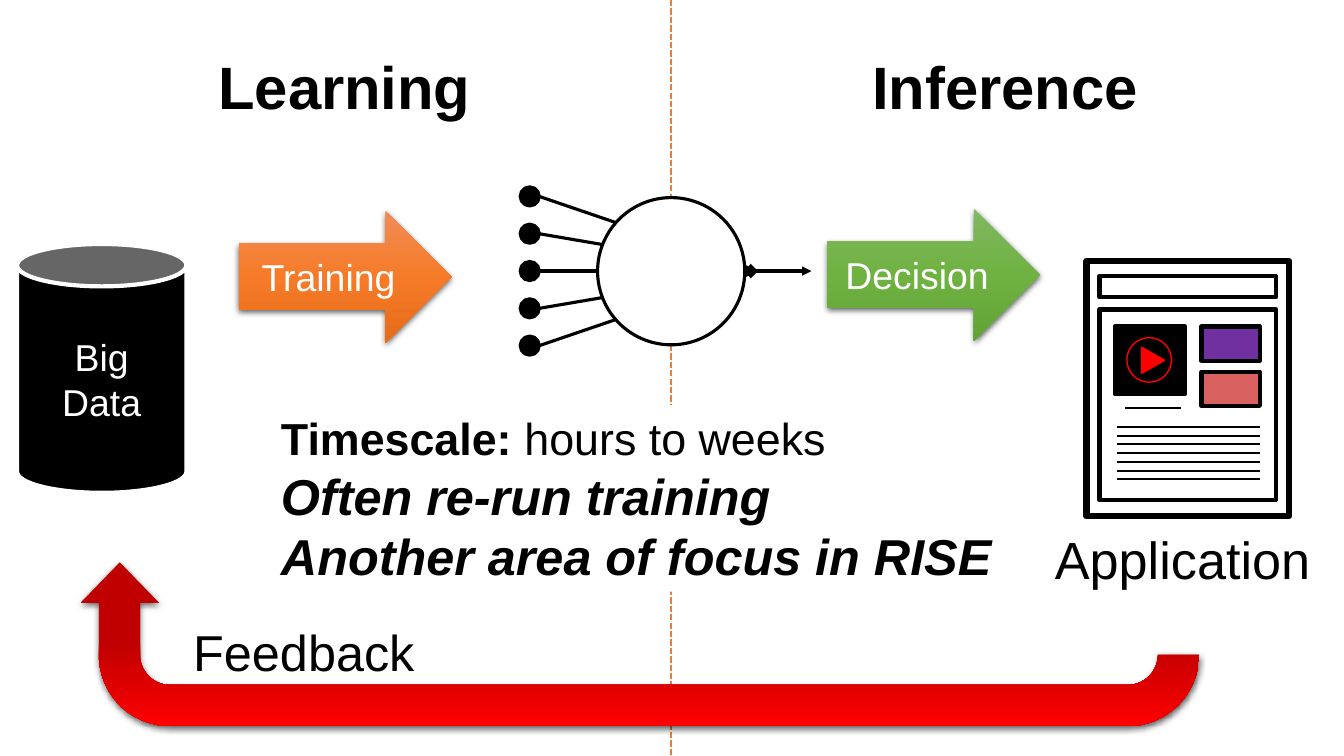
import math

import lxml.etree
import pptx
import pptx.dml.color
import pptx.enum.dml
import pptx.enum.shapes
import pptx.enum.text
import pptx.oxml.ns
import pptx.util

COLORS = {
    "black": "000000", "white": "FFFFFF", "red": "FF0000", "orange": "ED7D31",
    "purple": "7030A0", "coral": "D9615F",
}
BLENDS = {
    "train": ("F18C57", "F67B28", "E56C19"),
    "decide": ("81B861", "6FB242", "62A336"),
    "return": ("C00000", "C00000", "FF0000"),
}
SHAPE = pptx.enum.shapes.MSO_SHAPE
ALIGN = pptx.enum.text.PP_ALIGN
ANCHOR = pptx.enum.text.MSO_ANCHOR
FIT = pptx.enum.text.MSO_AUTO_SIZE
cm = pptx.util.Cm


def rgb(name):
    return pptx.dml.color.RGBColor.from_string(COLORS[name])


def add_tag(parent, tag, **attrs):
    return lxml.etree.SubElement(parent, pptx.oxml.ns.qn(tag), attrs)


def arc(x, y, radius, start, end, steps=16):
    """Points on a circle, angles in degrees clockwise from the right."""
    turns = [math.radians(start + (end - start) * i / steps) for i in range(steps + 1)]
    return [(x + radius * math.cos(t), y + radius * math.sin(t)) for t in turns]


class Canvas:
    def __init__(self, slide, font="Arial"):
        self.slide = slide
        self.font = font
        self.shapes = slide.shapes

    def group(self):
        """Send the next parts to a new group."""
        self.shapes = self.slide.shapes.add_group_shape().shapes

    def ungroup(self):
        self.shapes = self.slide.shapes

    def shape(self, kind, x, y, w, h, fill=None, line=None, width=1):
        item = self.shapes.add_shape(kind, cm(x), cm(y), cm(w), cm(h))
        item.shadow.inherit = False
        if fill:
            item.fill.solid()
            item.fill.fore_color.rgb = rgb(fill)
        else:
            item.fill.background()
        if line:
            item.line.color.rgb = rgb(line)
            item.line.width = pptx.util.Pt(width)
        else:
            item.line.fill.background()
        return item

    def line(self, x1, y1, x2, y2, width=1.5, color="black", arrow=False, dash=None):
        item = self.shapes.add_connector(
            pptx.enum.shapes.MSO_CONNECTOR.STRAIGHT, cm(x1), cm(y1), cm(x2), cm(y2))
        item.line.color.rgb = rgb(color)
        item.line.width = pptx.util.Pt(width)
        if dash:
            item.line.dash_style = dash
        if arrow:
            add_tag(item.get_or_add_ln(), "a:tailEnd", type="triangle")
        add_tag(item._element.spPr, "a:effectLst")
        return item

    def outline(self, points):
        spots = [(cm(x), cm(y)) for x, y in points]
        maker = self.shapes.build_freeform(*spots[0])
        maker.add_line_segments(spots[1:], close=True)
        return maker.convert_to_shape()

    def blend(self, item, name):
        """Give a shape a downward gradient and a soft shadow."""
        item.fill.gradient()
        item.fill.gradient_angle = 270
        stops = item._element.spPr.find(".//" + pptx.oxml.ns.qn("a:gsLst"))
        stops.clear()
        for place, color in zip((0, 50000, 100000), BLENDS[name]):
            add_tag(add_tag(stops, "a:gs", pos=str(place)), "a:srgbClr", val=color)
        item.line.fill.background()
        item.shadow.inherit = False
        effects = item._element.spPr.find(pptx.oxml.ns.qn("a:effectLst"))
        shade = add_tag(effects, "a:outerShdw", blurRad="57150", dist="19050",
                        dir="5400000", algn="ctr", rotWithShape="0")
        add_tag(add_tag(shade, "a:srgbClr", val="000000"), "a:alpha", val="63000")

    def style(self, para, size, color="black", bold=None, slant=None, align=ALIGN.CENTER):
        para.alignment = align
        para.font.name = self.font
        para.font.size = pptx.util.Pt(size)
        para.font.color.rgb = rgb(color)
        para.font.bold = bold
        para.font.italic = slant

    def words(self, item, lines, size, color="white"):
        frame = item.text_frame
        frame.vertical_anchor = ANCHOR.MIDDLE
        frame.text = "\n".join(lines)
        for para in frame.paragraphs:
            self.style(para, size, color)

    def label(self, text, x, y, w, h, size, bold=None, align=ALIGN.CENTER):
        frame = self.shapes.add_textbox(cm(x), cm(y), cm(w), cm(h)).text_frame
        frame.word_wrap = False
        frame.auto_size = FIT.SHAPE_TO_FIT_TEXT
        frame.text = text
        self.style(frame.paragraphs[0], size, bold=bold, align=align)

    def arrow(self, text, x, y, name):
        item = self.shape(SHAPE.RIGHT_ARROW, x, y, 5.36, 3.33)
        self.blend(item, name)
        self.words(item, [text], 26.7)


def main():
    deck = pptx.Presentation()
    deck.slide_width, deck.slide_height = cm(33.87), cm(19.05)
    art = Canvas(deck.slides.add_slide(deck.slide_layouts[6]))

    # Divider, data store and training
    art.line(16.91, 0, 16.91, 19.05, color="orange",
             dash=pptx.enum.dml.MSO_LINE.SQUARE_DOT)
    store = art.shape(SHAPE.CAN, 0.43, 6.15, 4.27, 6.27, "black", "white", 3)
    art.words(store, ["Big", "Data"], 26.7)
    art.arrow("Training", 6.02, 5.31, "train")

    # Application window
    art.group()
    art.shape(SHAPE.RECTANGLE, 27.38, 6.58, 5.11, 6.43, "white", "black", 4.5)
    for top, height in ((6.96, 0.53), (7.8, 4.8)):
        art.shape(SHAPE.RECTANGLE, 27.71, top, 4.45, height, "white", "black", 3)
    for row in range(7):
        y = 10.76 + 0.22 * row
        art.line(28.14, y, 31.75, y)
    art.label("Application", 26.21, 13.16, 7.19, 1.85, 37.3)
    art.ungroup()
    art.arrow("Decision", 20.85, 5.26, "decide")

    # Video and tiles in the window
    art.group()
    art.shape(SHAPE.RECTANGLE, 28.09, 8.23, 1.78, 1.7, "black", "black", 3)
    art.shape(SHAPE.OVAL, 28.4, 8.51, 1.12, 1.12, None, "red")
    play = art.shape(SHAPE.ISOSCELES_TRIANGLE, 28.73, 8.79, 0.66, 0.58, "red", "red")
    play.rotation = 90
    for top, color in ((8.23, "purple"), (9.37, "coral")):
        art.shape(SHAPE.RECTANGLE, 30.28, top, 1.47, 0.86, color, "black", 3)
    art.line(28.35, 10.29, 29.77, 10.29)

    # Model with five inputs and one output
    art.group()
    mid, gap, dot = 6.83, 0.94, 0.48
    inputs = [mid + gap * i for i in range(-2, 3)]
    art.line(18.21, mid, 20.45, mid, 2.25, arrow=True)
    for y in inputs:
        art.line(13.59, y, 19.1, mid, 2.25, arrow=True)
    art.shape(SHAPE.OVAL, 15.06, 4.98, 3.71, 3.71, "white", "black", 2.25)
    for y in inputs:
        art.shape(SHAPE.OVAL, 13.11, y - dot / 2, dot, dot, "black", "black", 2.25)
    art.ungroup()

    # Headings
    art.label("Learning", 5.23, 1.14, 6.91, 2.08, 42.7, bold=True)
    art.label("Inference", 21.67, 1.14, 7.32, 2.08, 42.7, bold=True)

    # Feedback arrow
    art.group()
    left, right, bend, outer, inner = 4.29, 28.42, 16.5, 1.8, 0.76
    neck, tip = 15.19, 14.17
    head = [(left - outer, neck), (2.03, neck), (3.02, tip), (4.01, neck),
            (left - inner, neck)]
    loop = art.outline(
        arc(right, bend, outer, 0, 90) + arc(left, bend, outer, 90, 180) + head
        + arc(left, bend, inner, 180, 90) + arc(right, bend, inner, 90, 0))
    art.blend(loop, "return")
    art.label("Feedback", 4.62, 15.52, 6.2, 1.8, 36, align=ALIGN.LEFT)
    art.ungroup()

    # Note on timing
    note = art.shape(SHAPE.RECTANGLE, 6.83, 10.21, 18.59, 4.7, "white")
    frame = note.text_frame
    frame.word_wrap = False
    frame.vertical_anchor = ANCHOR.MIDDLE
    first = frame.paragraphs[0]
    for text, bold in (("Timescale: ", True), ("hours to weeks", False)):
        run = first.add_run()
        run.text = text
        run.font.bold = bold
    art.style(first, 32, align=ALIGN.LEFT)
    for text in ("Often re-run training", "Another area of focus in RISE"):
        para = frame.add_paragraph()
        para.text = text
        art.style(para, 36, bold=True, slant=True, align=ALIGN.LEFT)

    deck.save("out.pptx")


if __name__ == "__main__":
    main()
